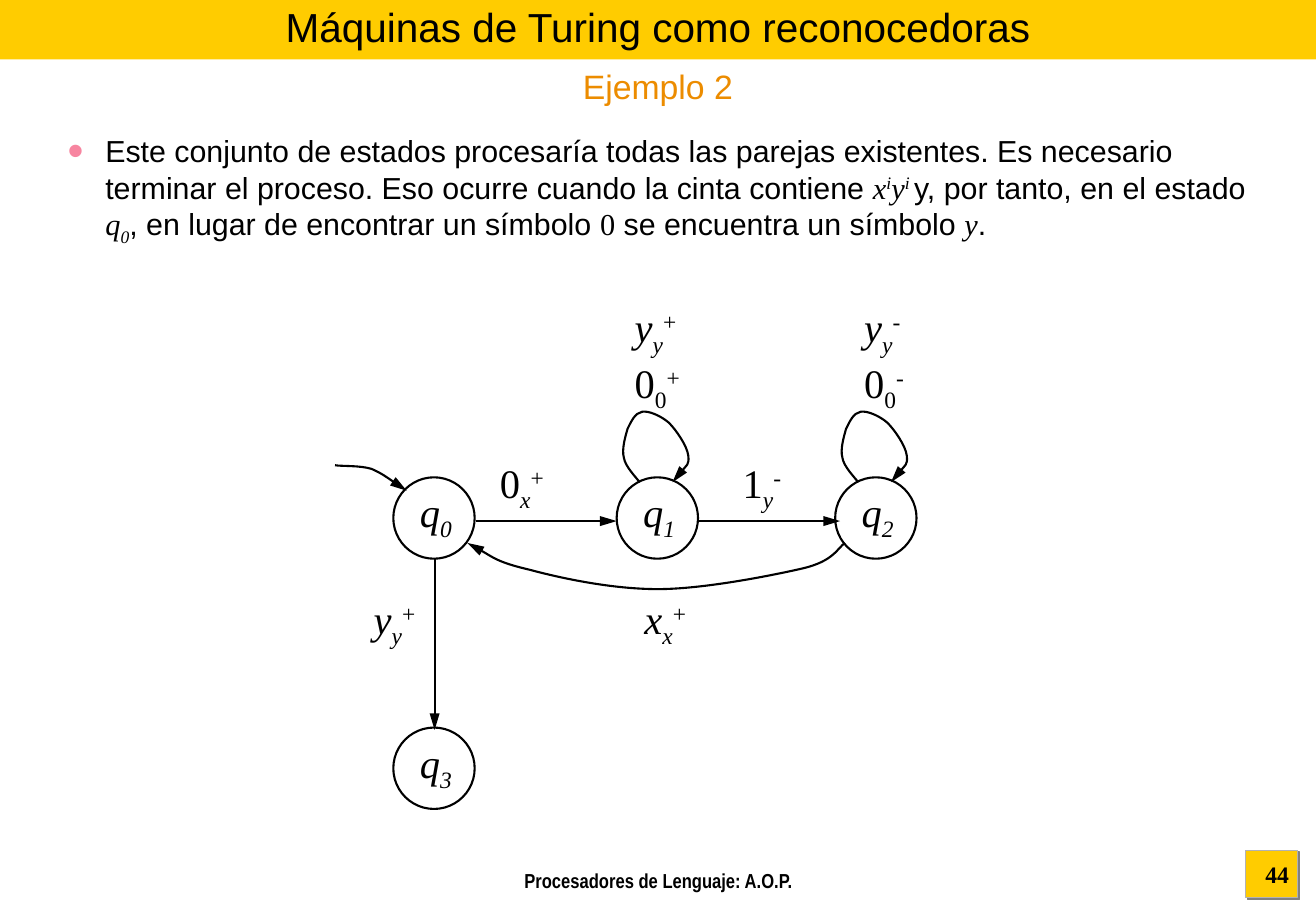
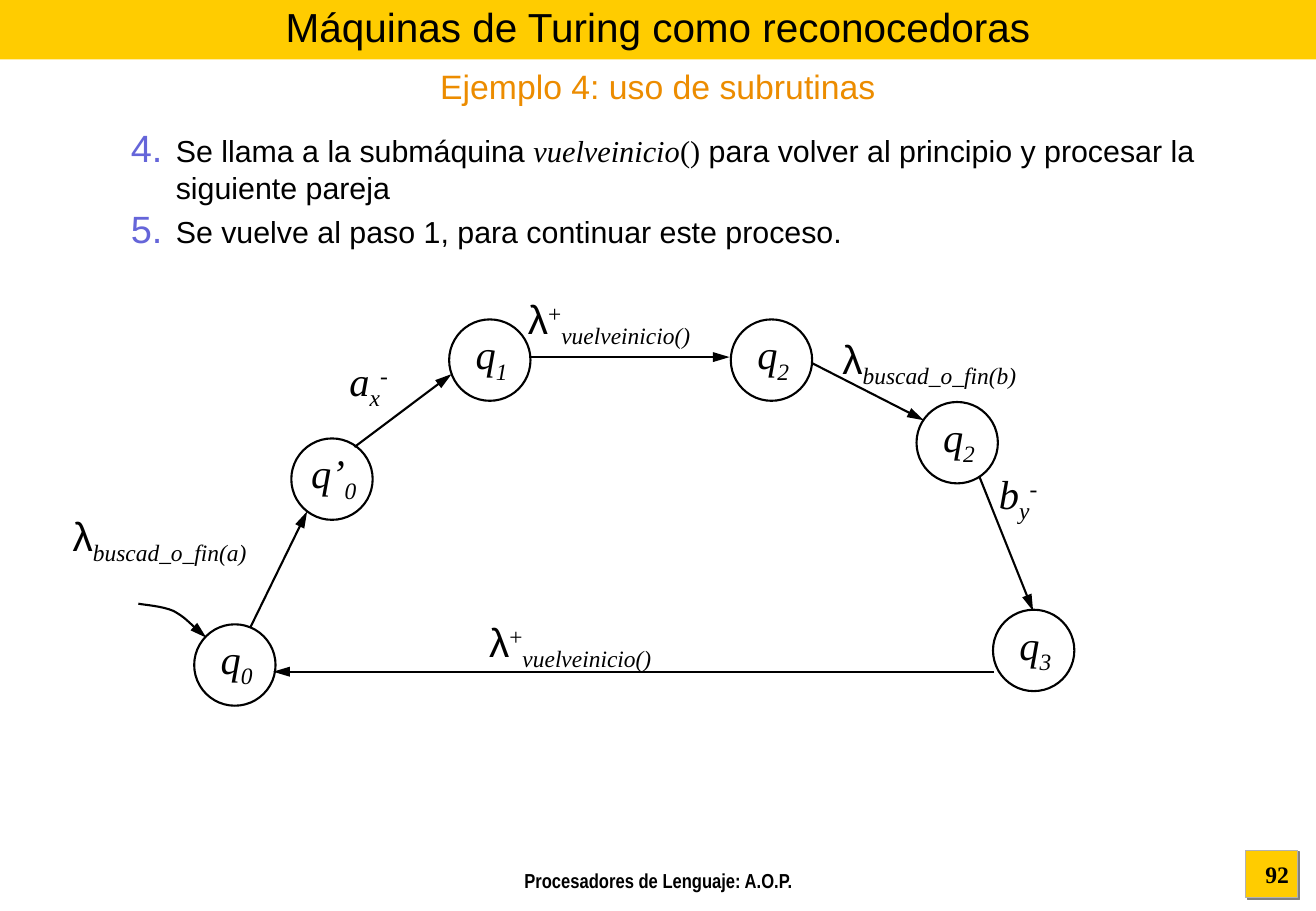
import pptx
import pptx.dml.color
import pptx.enum.shapes
import pptx.enum.text
import pptx.oxml
import pptx.oxml.ns
import pptx.util
from lxml import etree

Inches, Pt = pptx.util.Inches, pptx.util.Pt
SHAPE = pptx.enum.shapes.MSO_SHAPE
ALIGN = pptx.enum.text.PP_ALIGN
ANCHOR = pptx.enum.text.MSO_ANCHOR
qn = pptx.oxml.ns.qn

YELLOW, ORANGE, BLACK = "FFCC00", "EC8C00", "000000"
GREY, SHADOW = "B2B2B2", "808080"
WIDTH, HEIGHT = 10.84, 7.5
DIAMETER = 0.67
TITLE = "Máquinas de Turing como reconocedoras"
FOOTER = "Procesadores de Lenguaje: A.O.P."

# Runs are (text, style): t = Times, i = italic, ^ = superscript, _ = subscript, b = bold
Y_PLUS = [("y", "ti"), ("y", "ti_"), ("+", "t^")]
Y_MINUS = [("y", "ti"), ("y", "ti_"), ("-", "t^")]
ZERO_PLUS = [("0", "t"), ("0", "t_"), ("+", "t^")]
ZERO_MINUS = [("0", "t"), ("0", "t_"), ("-", "t^")]
GO_HOME = [("λ", ""), ("+", "t^"), ("vuelveinicio()", "ti_")]

# Curves are a start point, then two control points and an end point per piece
LOOP = [(5.27, 3.97), (5.24, 3.93), (5.15, 3.84), (5.14, 3.77),
        (5.12, 3.7), (5.15, 3.6), (5.17, 3.53),
        (5.2, 3.47), (5.23, 3.4), (5.29, 3.39),
        (5.34, 3.38), (5.44, 3.42), (5.51, 3.48),
        (5.57, 3.54), (5.66, 3.67), (5.67, 3.75),
        (5.68, 3.83), (5.57, 3.93), (5.54, 3.97)]

# States are (name, index, left, top); labels are (left, top, width, paragraphs)
SLIDES = [
    {
        "number": "44",
        "subtitle": "Ejemplo 2",
        "bullet": {"left": 0.31, "hang": 0.31, "color": "F785A0", "size": 150,
                   "mark": ("a:buChar", {"char": "•"})},
        "body": [[
            ("Este conjunto de estados procesaría todas las parejas existentes. "
             "Es necesario terminar el proceso. Eso ocurre cuando la cinta contiene ", ""),
            ("x", "ti"), ("i", "ti^"), ("y", "ti"), ("i ", "ti^"),
            ("y, por tanto, en el estado ", ""),
            ("q", "ti"), ("0", "ti_"),
            (", en lugar de encontrar un símbolo ", ""), ("0", "t"),
            (" se encuentra un símbolo ", ""), ("y", "ti"), (".", ""),
        ]],
        "states": [("q", "0", 3.24, 3.93), ("q", "1", 5.08, 3.93),
                   ("q", "2", 6.88, 3.93), ("q", "3", 3.24, 5.99)],
        "arrows": [(3.92, 4.29, 5.08, 4.29), (5.75, 4.29, 6.92, 4.29),
                   (3.58, 4.6, 3.58, 6.01)],
        "curves": [
            [(2.76, 3.83), (2.81, 3.84), (2.96, 3.83), (3.06, 3.86),
             (3.15, 3.9), (3.29, 4), (3.35, 4.04)],
            LOOP,
            [(x + 1.8, y) for x, y in LOOP],
            [(6.96, 4.47), (6.9, 4.51), (6.87, 4.62), (6.61, 4.68),
             (6.35, 4.74), (5.79, 4.85), (5.42, 4.85),
             (5.04, 4.85), (4.62, 4.76), (4.36, 4.69),
             (4.1, 4.63), (3.95, 4.52), (3.85, 4.47)],
        ],
        "labels": [
            (4.02, 3.72, 0.6, [[("0", "t"), ("x", "ti_"), ("+", "t^")]]),
            (6.02, 3.72, 0.6, [[("1", "t"), ("y", "ti_"), ("-", "t^")]]),
            (5.21, 4.84, 0.6, [[("x", "ti"), ("x", "ti_"), ("+", "t^")]]),
            (2.98, 4.84, 0.6, [Y_PLUS]),
            (5.13, 2.44, 0.6, [Y_PLUS, ZERO_PLUS]),
            (7.02, 2.44, 0.6, [Y_MINUS, ZERO_MINUS]),
        ],
    },
    {
        "number": "92",
        "subtitle": "Ejemplo 4: uso de subrutinas",
        "bullet": {"left": 0.89, "hang": 0.37, "color": "6565D9", "size": 125,
                   "mark": ("a:buAutoNum", {"type": "arabicPeriod", "startAt": "4"})},
        "body": [
            [("Se llama a la submáquina ", ""), ("vuelveinicio", "ti"), ("()", "t"),
             (" para volver al principio y procesar la siguiente pareja", "")],
            [("Se vuelve al paso 1, para continuar este proceso.", "")],
        ],
        "states": [("q", "0", 1.6, 5.14), ("q’", "0", 2.4, 3.61),
                   ("q", "1", 3.7, 2.63), ("q", "2", 6.02, 2.63),
                   ("q", "2", 7.55, 3.31), ("q", "3", 8.18, 5.02)],
        "arrows": [(2.06, 5.17, 2.53, 4.21), (2.92, 3.68, 3.72, 3.08),
                   (4.36, 2.94, 6.01, 2.94), (6.69, 2.99, 7.61, 3.46),
                   (8.07, 3.93, 8.51, 5.03), (8.19, 5.53, 2.25, 5.53)],
        "curves": [[(1.14, 4.97), (1.19, 4.98), (1.34, 4.99), (1.43, 5.03),
                    (1.52, 5.08), (1.64, 5.2), (1.7, 5.25)]],
        "labels": [
            (0.5, 4.16, 1.95, [[("λ", ""), ("buscad_o_fin(a)", "ti_")]]),
            (2.78, 2.88, 0.76, [[("a", "ti"), ("x", "ti_"), ("-", "t^")]]),
            (6.84, 2.7, 1.95, [[("λ", ""), ("buscad_o_fin(b)", "ti_")]]),
            (8.13, 3.81, 0.76, [[("b", "ti"), ("y", "ti_"), ("-", "t^")]]),
            (4.25, 2.37, 1.78, [GO_HOME]),
            (3.93, 5.03, 1.92, [GO_HOME]),
        ],
    },
]


def rgb(value):
    return pptx.dml.color.RGBColor.from_string(value)


def child(parent, tag, **attributes):
    return etree.SubElement(parent, qn(tag), attributes)


def add_runs(p, runs, size, color=BLACK, font="Arial"):
    for text, style in runs:
        r = p.add_run()
        r.text = text
        r.font.name = "Times New Roman" if "t" in style else font
        r.font.size = Pt(size)
        r.font.color.rgb = rgb(color)
        r.font.italic = "i" in style
        r.font.bold = "b" in style
        if "^" in style or "_" in style:
            baseline = "30000" if "^" in style else "-25000"
            r._r.get_or_add_rPr().set("baseline", baseline)


def add_text(s, box, paragraphs, size, color=BLACK, align=ALIGN.LEFT, font="Arial"):
    tf = s.shapes.add_textbox(*map(Inches, box)).text_frame
    tf.word_wrap = True
    for i, runs in enumerate(paragraphs):
        p = tf.add_paragraph() if i else tf.paragraphs[0]
        p.alignment = align
        add_runs(p, runs, size, color, font)
    return tf


def add_preset(s, kind, box, fill=None, line=None, weight=1.25):
    sp = s.shapes.add_shape(kind, *map(Inches, box))
    sp.shadow.inherit = False
    if fill:
        sp.fill.solid()
        sp.fill.fore_color.rgb = rgb(fill)
    else:
        sp.fill.background()
    if line:
        sp.line.color.rgb = rgb(line)
        sp.line.width = Pt(weight)
    else:
        sp.line.fill.background()
    return sp


def add_frame(s, subtitle, number):
    """Title band, subtitle, footer and page number common to all slides."""
    title = s.shapes.title
    band = add_preset(s, SHAPE.RECTANGLE, (0, 0, WIDTH, 0.49), YELLOW)
    title.element.addprevious(band.element)
    title.left, title.top, title.width, title.height = map(Inches, (0, 0, WIDTH, 0.44))
    tf = title.text_frame
    tf.auto_size = pptx.enum.text.MSO_AUTO_SIZE.NONE
    tf.vertical_anchor = ANCHOR.MIDDLE
    tf.paragraphs[0].alignment = ALIGN.CENTER
    add_runs(tf.paragraphs[0], [(TITLE, "")], 24)

    add_text(s, (0, 0.49, WIDTH, 0.44), [[(subtitle, "")]], 20, ORANGE, ALIGN.CENTER)
    add_text(s, (3.02, 7.1, 4.81, 0.18), [[(FOOTER, "b")]], 12,
             align=ALIGN.CENTER, font="Arial Narrow")
    corner = add_preset(s, SHAPE.RECTANGLE, (10.26, 7, 0.43, 0.39), YELLOW, GREY, 0.75)
    effects = corner.element.spPr.find(qn("a:effectLst"))
    shadow = child(effects, "a:outerShdw", dist=str(Pt(1.4)), dir="2700000")
    child(shadow, "a:srgbClr", val=SHADOW)
    add_text(s, (10.25, 7.03, 0.54, 0.35), [[(number, "tb")]], 14, align=ALIGN.CENTER)


def add_body(s, paragraphs, bullet):
    tf = add_text(s, (0.46, 1.04, 9.96, 5.8), paragraphs, 18)
    tag, attributes = bullet["mark"]
    for i, p in enumerate(tf.paragraphs):
        pPr = p._p.get_or_add_pPr()
        pPr.set("marL", str(Inches(bullet["left"])))
        pPr.set("indent", str(-Inches(bullet["hang"])))
        child(child(pPr, "a:buClr"), "a:srgbClr", val=bullet["color"])
        child(pPr, "a:buSzPct", val=str(bullet["size"] * 1000))
        child(pPr, "a:buFont", typeface="Arial")
        child(pPr, tag, **attributes)
        if i:
            p.space_before = Pt(4.5)


def add_state(s, name, index, x, y):
    sp = add_preset(s, SHAPE.OVAL, (x, y, DIAMETER, DIAMETER), line=BLACK)
    tf = sp.text_frame
    tf.word_wrap = False
    tf.vertical_anchor = ANCHOR.MIDDLE
    tf.margin_top = tf.margin_right = 0
    tf.margin_left, tf.margin_bottom = Inches(0.03), Inches(0.05)
    p = tf.paragraphs[0]
    p.alignment = ALIGN.CENTER
    add_runs(p, [(name, "ti"), (index, "ti_")], 24)


def point_line(sp):
    """Black line with an arrowhead at its end."""
    sp.line.color.rgb = rgb(BLACK)
    sp.line.width = Pt(1.25)
    child(sp.line._get_or_add_ln(), "a:tailEnd", type="triangle", w="med", len="lg")


def add_arrow(s, ends):
    kind = pptx.enum.shapes.MSO_CONNECTOR.STRAIGHT
    sp = s.shapes.add_connector(kind, *map(Inches, ends))
    point_line(sp)
    child(sp.element.spPr, "a:effectLst")


def add_curve(s, points):
    start, *rest = [tuple(map(Inches, pt)) for pt in points]
    builder = s.shapes.build_freeform(*start)
    builder.add_line_segments(rest, close=False)
    sp = builder.convert_to_shape()
    segments = list(sp.element.iter(qn("a:lnTo")))
    for i in range(0, len(segments), 3):
        bezier = etree.Element(qn("a:cubicBezTo"))
        segments[i].addprevious(bezier)
        for segment in segments[i:i + 3]:
            bezier.append(segment[0])
            segment.getparent().remove(segment)
    sp.shadow.inherit = False
    sp.fill.background()
    point_line(sp)


def add_label(s, x, y, width, paragraphs):
    add_text(s, (x, y, width, 0.11 + 0.45 * len(paragraphs)), paragraphs, 24)


def main():
    prs = pptx.Presentation()
    prs.slide_width, prs.slide_height = Inches(WIDTH), Inches(HEIGHT)
    for content in SLIDES:
        s = prs.slides.add_slide(prs.slide_layouts[5])
        add_frame(s, content["subtitle"], content["number"])
        add_body(s, content["body"], content["bullet"])
        for state in content["states"]:
            add_state(s, *state)
        for ends in content["arrows"]:
            add_arrow(s, ends)
        for points in content["curves"]:
            add_curve(s, points)
        for label in content["labels"]:
            add_label(s, *label)
    prs.save("out.pptx")


if __name__ == "__main__":
    main()
